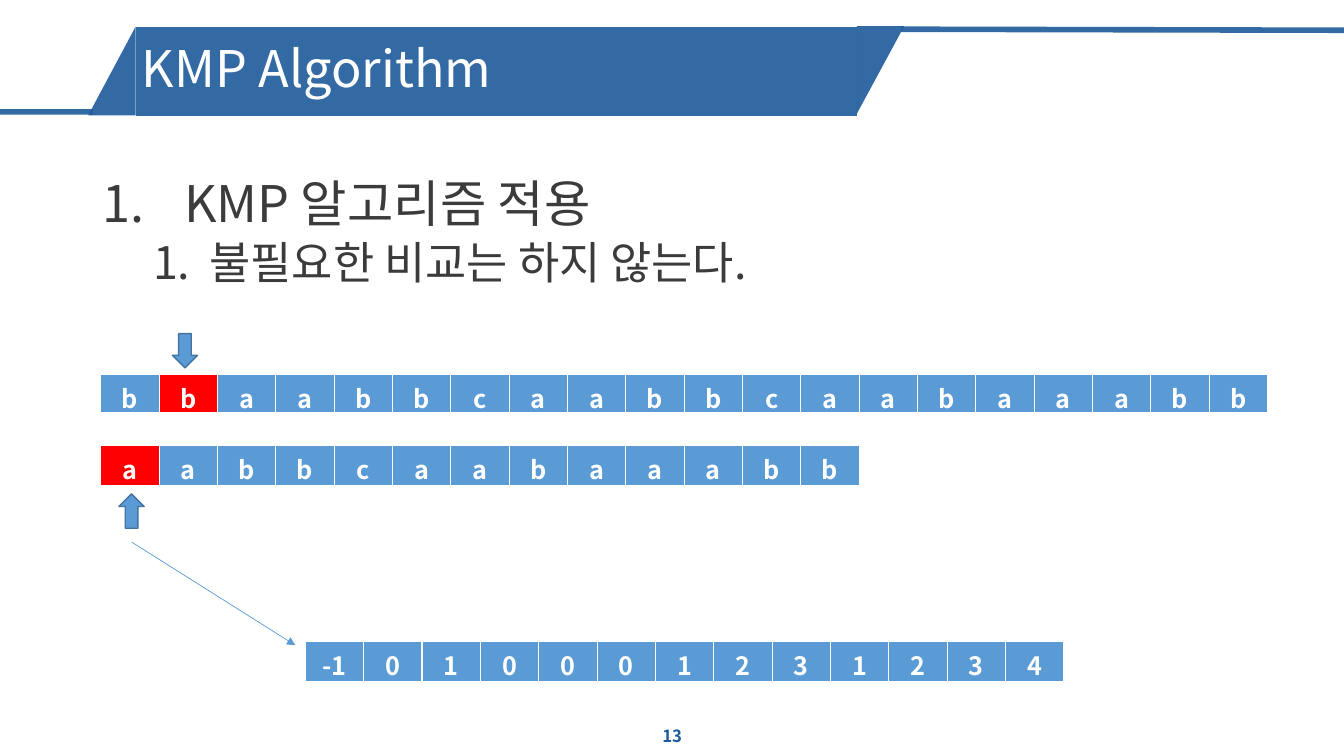
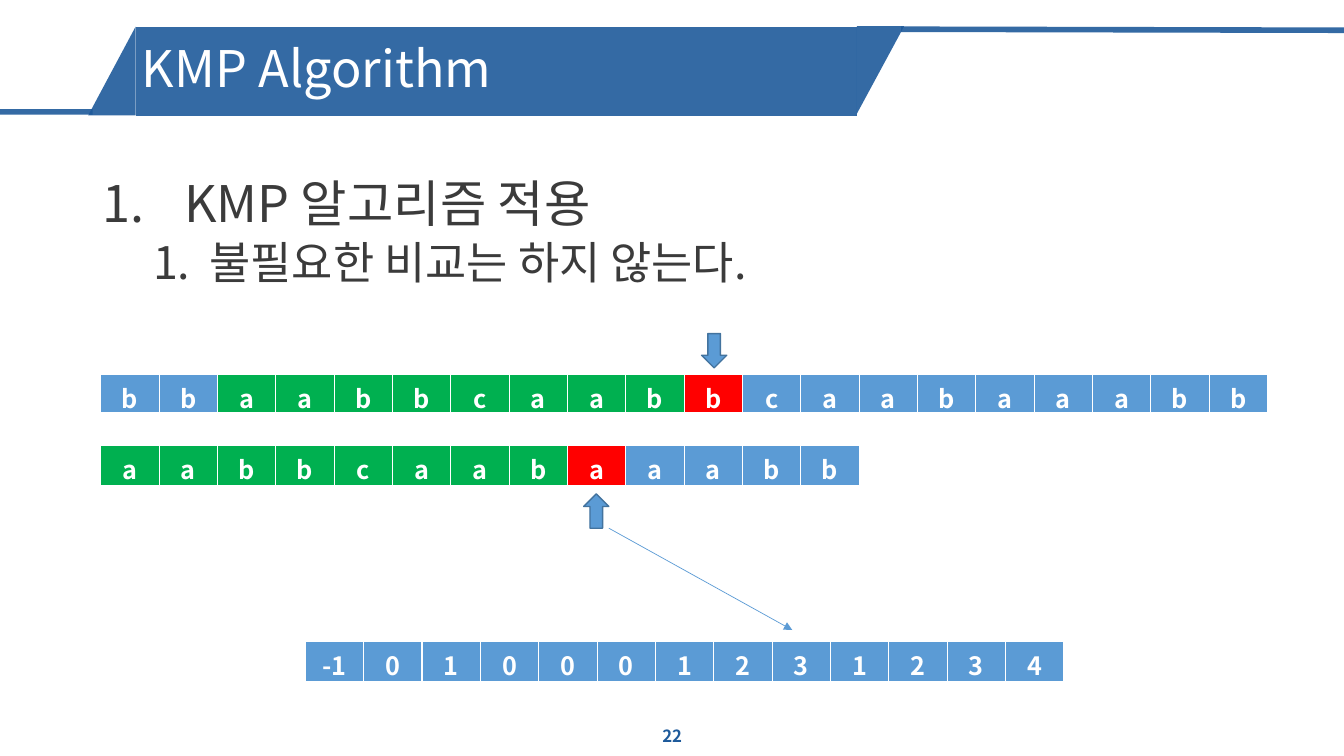
from dataclasses import dataclass
from typing import Optional

from lxml.etree import SubElement
from pptx import Presentation
from pptx.dml.color import RGBColor
from pptx.enum.shapes import MSO_CONNECTOR, MSO_SHAPE
from pptx.enum.text import MSO_ANCHOR, PP_ALIGN
from pptx.oxml.ns import qn
from pptx.util import Pt

FONT = "Noto Sans CJK KR"
NAVY, BLUE, OUTLINE = "1E5A9B", "5B9BD5", "43739E"
RED, GREEN, WHITE, INK = "FF0000", "00B050", "FFFFFF", "3B3B3B"
CELL_W = 41.69
POINTER_W, POINTER_H = 18, 24.48


@dataclass(frozen=True)
class Box:
    """A rectangle in points."""
    x: float
    y: float
    w: float
    h: float


@dataclass(frozen=True)
class Row:
    """A one-row table of symbols and its place in points."""
    symbols: list[str]
    x: float
    y: float
    h: float


@dataclass(frozen=True)
class Line:
    """A straight line in points."""
    x1: float
    y1: float
    x2: float
    y2: float


@dataclass(frozen=True)
class Band:
    """One piece of the title band."""
    kind: MSO_SHAPE
    box: Box
    rotation: float = 0


@dataclass(frozen=True)
class Para:
    """One numbered paragraph of the body text."""
    text: str
    size: float
    level: int
    margin: float
    hanging: float
    before: float


@dataclass(frozen=True)
class Step:
    """One state of the search: mismatch indices, matched count, pointers."""
    page: int
    text_miss: int
    pattern_miss: int
    matched: int
    text_pointer_x: float
    pattern_pointer_x: float
    link: Line


BANDS = [
    Band(MSO_SHAPE.RIGHT_TRIANGLE, Box(597.6, 33.12, 62.64, 33.84), 90),
    Band(MSO_SHAPE.RIGHT_TRIANGLE, Box(48.24, 33.84, 63.36, 33.84), 270),
    Band(MSO_SHAPE.RECTANGLE, Box(97.2, 19.44, 514.8, 63.36)),
]
RULES = [Line(66.24, 79.92, 0, 79.92), Line(960, 21.6, 643.68, 20.88)]
BODY = [
    Para("KMP 알고리즘 적용", 36, 0, 58.32, 58.32, 10),
    Para("불필요한 비교는 하지 않는다.", 32, 1, 76.32, 40.32, 5),
]
PATTERN = Row(list("aabbcaabaaabb"), 72, 318.24, 29.52)
FAILURE = Row("-1 0 1 0 0 0 1 2 3 1 2 3 4".split(), 218.16, 457.92, 29.52)
TEXT = Row(list("bbaabbcaabbcaabaaabb"), 72, 267.12, 28.4)
STEPS = [
    Step(13, 1, 0, 0, 123.12, 84.96, Line(94.32, 387.36, 210.96, 460.92)),
    Step(22, 10, 8, 8, 501.12, 416.88, Line(434.88, 377.28, 565.92, 450)),
]


def rgb(color: str) -> RGBColor:
    """Turn a hex string into a colour."""
    return RGBColor.from_string(color)


def set_alpha(el, percent: int) -> None:
    """Make the solid colour under an element partly transparent."""
    clr = next(el.iter(qn("a:srgbClr")))
    SubElement(clr, qn("a:alpha")).set("val", str(percent * 1000))


def style_runs(p, size: float, color: str, bold: bool = False) -> None:
    """Format every run of a paragraph."""
    for r in p.runs:
        r.font.size, r.font.bold, r.font.name = Pt(size), bold, FONT
        r.font.color.rgb = rgb(color)
        SubElement(r.font._element, qn("a:ea")).set("typeface", FONT)


def add_shape(s, kind: MSO_SHAPE, box: Box, fill: str,
              outline: Optional[str] = None, rotation: float = 0):
    """Draw a filled preset shape without a shadow."""
    sp = s.shapes.add_shape(kind, Pt(box.x), Pt(box.y), Pt(box.w), Pt(box.h))
    sp.shadow.inherit = False
    sp.rotation = rotation
    sp.fill.solid()
    sp.fill.fore_color.rgb = rgb(fill)
    if outline:
        sp.line.color.rgb, sp.line.width = rgb(outline), Pt(1)
    else:
        sp.line.fill.background()
    return sp


def add_line(s, line: Line, color: str, width: float):
    """Draw a straight connector without a shadow."""
    cx = s.shapes.add_connector(MSO_CONNECTOR.STRAIGHT, Pt(line.x1),
                                Pt(line.y1), Pt(line.x2), Pt(line.y2))
    cx.line.color.rgb, cx.line.width = rgb(color), Pt(width)
    SubElement(cx._element.spPr, qn("a:effectLst"))
    return cx


def add_text_frame(s, box: Box, anchor: MSO_ANCHOR):
    """Add a wrapping text box and return its text frame."""
    tf = s.shapes.add_textbox(Pt(box.x), Pt(box.y),
                              Pt(box.w), Pt(box.h)).text_frame
    tf.word_wrap, tf.vertical_anchor = True, anchor
    return tf


def add_frame(s, page: int) -> None:
    """Draw the title band, the title and the page number."""
    for band in BANDS:
        sp = add_shape(s, band.kind, band.box, NAVY, rotation=band.rotation)
        set_alpha(sp._element.spPr, 90)
    for rule in RULES:
        set_alpha(add_line(s, rule, NAVY, 4)._element.spPr, 90)
    tf = add_text_frame(s, Box(372.24, 511.2, 216, 28.8), MSO_ANCHOR.MIDDLE)
    tf.text = str(page)
    tf.paragraphs[0].alignment = PP_ALIGN.CENTER
    style_runs(tf.paragraphs[0], 12, NAVY, bold=True)
    tf = add_text_frame(s, Box(94.32, 21.6, 514.8, 58.32), MSO_ANCHOR.MIDDLE)
    tf.text = "KMP Algorithm"
    p = tf.paragraphs[0]
    p.line_spacing, p.space_before = 0.9, Pt(10)
    style_runs(p, 36, WHITE)


def add_body(s) -> None:
    """Write the numbered body text."""
    tf = add_text_frame(s, Box(66.24, 124.56, 823.68, 357.84), MSO_ANCHOR.TOP)
    for i, para in enumerate(BODY):
        p = tf.add_paragraph() if i else tf.paragraphs[0]
        p.text, p.level = para.text, para.level
        p.line_spacing, p.space_before = 0.9, Pt(para.before)
        pPr = p._p.get_or_add_pPr()
        pPr.set("marL", str(Pt(para.margin)))
        pPr.set("indent", str(-Pt(para.hanging)))
        SubElement(pPr, qn("a:buFont")).set("typeface", "+mj-lt")
        SubElement(pPr, qn("a:buAutoNum")).set("type", "arabicPeriod")
        style_runs(p, para.size, INK)


def set_borders(cell) -> None:
    """Give a cell white borders, thicker at the bottom."""
    tcPr = cell._tc.get_or_add_tcPr()
    for side, width in (("L", 1), ("R", 1), ("T", 1), ("B", 3)):
        ln = SubElement(tcPr, qn(f"a:ln{side}"))
        ln.set("w", str(Pt(width)))
        fill = SubElement(ln, qn("a:solidFill"))
        SubElement(fill, qn("a:srgbClr")).set("val", WHITE)


def add_row(s, row: Row, miss: int = -1, matched: int = 0) -> None:
    """Draw a row with its mismatch in red and the match before it in green."""
    n = len(row.symbols)
    tbl = s.shapes.add_table(1, n, Pt(row.x), Pt(row.y),
                             Pt(CELL_W * n), Pt(row.h)).table
    tbl.first_row = tbl.horz_banding = False
    for i, symbol in enumerate(row.symbols):
        tbl.columns[i].width = Pt(CELL_W)
        cell = tbl.cell(0, i)
        set_borders(cell)
        cell.fill.solid()
        color = (RED if i == miss
                 else GREEN if miss - matched <= i < miss else BLUE)
        cell.fill.fore_color.rgb = rgb(color)
        cell.text_frame.text = symbol
        p = cell.text_frame.paragraphs[0]
        p.alignment = PP_ALIGN.CENTER
        style_runs(p, 18, WHITE, bold=True)


def add_pointer(s, x: float, y: float, rotation: float = 0) -> None:
    """Draw a block arrow that points at a cell."""
    add_shape(s, MSO_SHAPE.DOWN_ARROW, Box(x, y, POINTER_W, POINTER_H),
              BLUE, OUTLINE, rotation)


def add_step(prs, step: Step) -> None:
    """Build the slide for one search step."""
    s = prs.slides.add_slide(prs.slide_layouts[6])
    add_frame(s, step.page)
    add_body(s)
    add_row(s, PATTERN, step.pattern_miss, step.matched)
    add_row(s, FAILURE)
    add_row(s, TEXT, step.text_miss, step.matched)
    add_pointer(s, step.text_pointer_x, 238.32)
    add_pointer(s, step.pattern_pointer_x, 352.8, rotation=180)
    link = add_line(s, step.link, BLUE, 0.5)
    SubElement(link.line._get_or_add_ln(), qn("a:tailEnd")).set(
        "type", "triangle")


def main() -> None:
    """Build and save the presentation."""
    prs = Presentation()
    prs.slide_width, prs.slide_height = Pt(960), Pt(540)
    for step in STEPS:
        add_step(prs, step)
    prs.save("out.pptx")


main()
